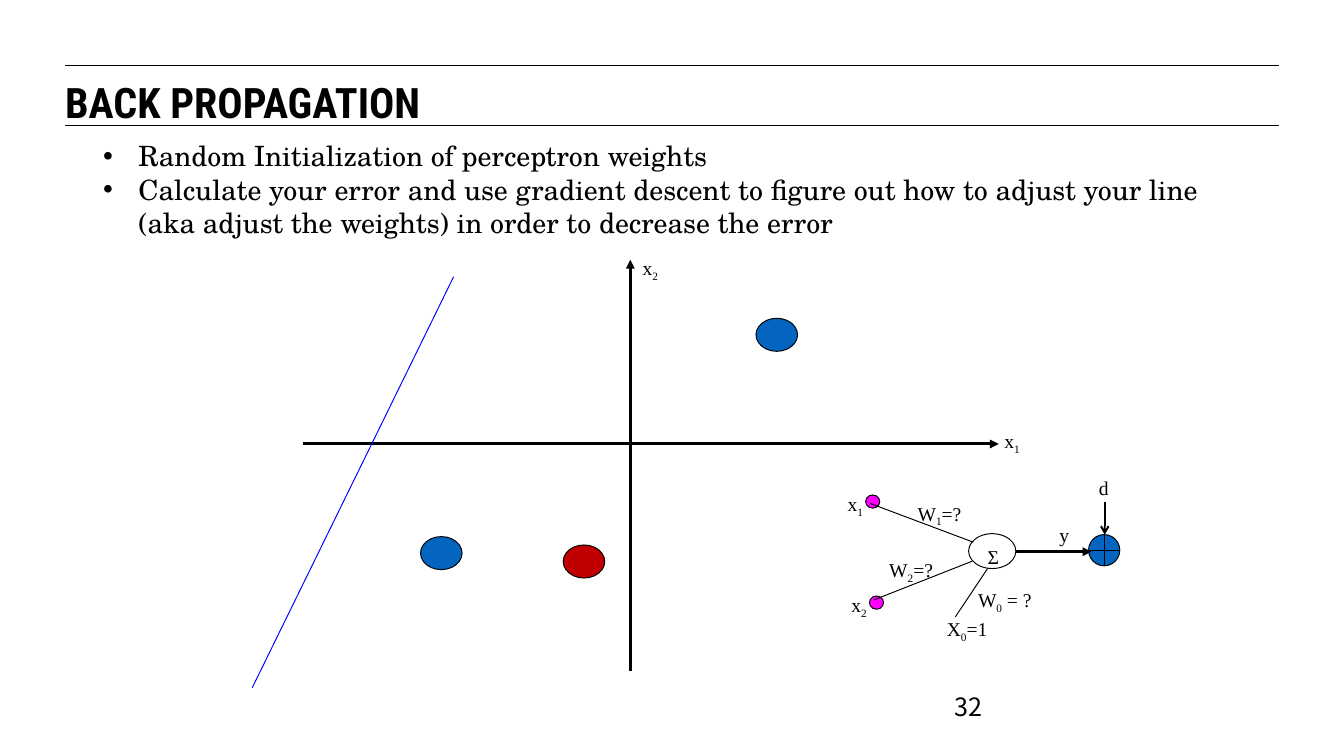
"""Build the back propagation slide."""
from lxml import etree
from pptx import Presentation
from pptx.dml.color import RGBColor
from pptx.enum.shapes import MSO_CONNECTOR, MSO_SHAPE
from pptx.enum.text import MSO_ANCHOR, MSO_AUTO_SIZE
from pptx.oxml.ns import qn
from pptx.util import Pt

LINE = MSO_CONNECTOR.STRAIGHT
OVAL = MSO_SHAPE.OVAL
CROSS = MSO_SHAPE.FLOWCHART_OR
TOP = MSO_ANCHOR.TOP
GROW = MSO_AUTO_SIZE.SHAPE_TO_FIT_TEXT
FIXED = MSO_AUTO_SIZE.NONE

HEX = {"black": "000000", "blue": "0365C0", "red": "C00000",
       "pink": "FF00FF", "split": "0000FF"}
SERIF = "Times New Roman"


def color(name):
    """Return the named colour."""
    return RGBColor.from_string(HEX[name])


def write(slide, box, text, size=14.9, font=SERIF, bold=False,
          wrap=False, grow=True, inset=(7.9, 3.6), bullet=None):
    """Add a text box; newlines split paragraphs, underscores wrap subscripts."""
    frame = slide.shapes.add_textbox(*map(Pt, box)).text_frame
    frame.word_wrap = wrap
    frame.auto_size = GROW if grow else FIXED
    frame.vertical_anchor = TOP
    frame.margin_left = frame.margin_right = Pt(inset[0])
    frame.margin_top = frame.margin_bottom = Pt(inset[1])
    for i, line in enumerate(text.split("\n")):
        para = frame.add_paragraph() if i else frame.paragraphs[0]
        if bullet:
            props = para._p.get_or_add_pPr()
            props.set("marL", str(Pt(27)))
            props.set("indent", str(-Pt(27)))
            etree.SubElement(props, qn("a:buFont"), typeface="Arial")
            etree.SubElement(props, qn("a:buChar"), char=bullet)
        for j, part in enumerate(line.split("_")):
            run = para.add_run()
            run.text = part
            run.font.size = Pt(size)
            run.font.name = font
            run.font.bold = bold
            run.font.color.rgb = color("black")
            if j % 2:
                run._r.get_or_add_rPr().set("baseline", "-25000")


def link(slide, box, ends, width=0.75, tint="black", head=None):
    """Draw a line between two points inside the box."""
    x, y = box[:2]
    x1, y1, x2, y2 = ends
    line = slide.shapes.add_connector(
        LINE, Pt(x + x1), Pt(y + y1), Pt(x + x2), Pt(y + y2))
    line.line.width = Pt(width)
    line.line.color.rgb = color(tint)
    if head:
        etree.SubElement(line.line._get_or_add_ln(), qn("a:tailEnd"), type=head)
    etree.SubElement(line._element.spPr, qn("a:effectLst"))


def node(slide, box, place, tint=None, kind=OVAL):
    """Draw an outlined node inside the box."""
    x, y, w, h = place
    shape = slide.shapes.add_shape(
        kind, Pt(box[0] + x), Pt(box[1] + y), Pt(w), Pt(h))
    shape.shadow.inherit = False
    if tint:
        shape.fill.solid()
        shape.fill.fore_color.rgb = color(tint)
    else:
        shape.fill.background()
    shape.line.width = Pt(0.75)
    shape.line.color.rgb = color("black")


def label(slide, box, text, x, y, w):
    """Write a short label inside the box."""
    write(slide, (box[0] + x, box[1] + y, w, 25.9), text)


def header(slide, box):
    """Draw the title between its two rules."""
    x, y, w, h = box
    for rule in (0, h):
        link(slide, box, (0, rule, w, rule))
    write(slide, (x, y + 8.6, w, 33.8), "BACK PROPAGATION", size=32,
          font="Roboto Condensed", bold=True, wrap=True, grow=False,
          inset=(0, 0))


def body(slide, box):
    """Write the bullet list."""
    write(slide, box,
          "Random Initialization of perceptron weights\n"
          "Calculate your error and use gradient descent to figure out how "
          "to adjust your line (aka adjust the weights) in order to decrease "
          "the error",
          size=21.3, font="TeX Gyre Schola", wrap=True, bullet="•")


def graph(slide, box):
    """Draw the axes, the data points and the dividing line."""
    for axis in ((290.2, 321.2, 290.2, 8), (41.1, 148.4, 571, 148.4)):
        link(slide, box, axis, width=2.25, head="triangle")
    for x, y, tint in ((239.1, 225.4, "red"), (386, 52.6, "blue"),
                       (130.4, 219, "blue")):
        node(slide, box, (x, y, 31.7, 25.2), tint)
    link(slide, box, (155.6, 21, 2.2, 334.2), tint="split")
    label(slide, box, "x_1", 567.4, 133.3, 28.1)
    label(slide, box, "x_2", 291.7, 1.5, 28.1)


def neuron(slide, box):
    """Draw the perceptron with its inputs, weights and output."""
    for x, y in ((27.4, 99.3), (24.5, 22.3)):
        node(slide, box, (x, y, 10.8, 10.1), "pink")
    node(slide, box, (103, 51.8, 36, 26.6))
    node(slide, box, (194.4, 52.5, 23.8, 23.8), "blue", CROSS)
    for ends in ((28.1, 28.8, 106.6, 58.3), (31, 102.2, 105.9, 72.7),
                 (92.9, 115.2, 117.4, 78.4)):
        link(slide, box, ends)
    link(slide, box, (139, 65.5, 196.6, 65.5), width=2.25, head="triangle")
    link(slide, box, (206.7, 28, 206.7, 52.5), width=1.5, head="arrow")
    for text, x, y, w in (
            ("x_1", 2.9, 16.5, 28.1), ("x_2", 5.8, 93.6, 28.1),
            ("X_0_=1", 78.5, 111.6, 47.5), ("W_0_ = ?", 102.3, 90, 57.6),
            ("W_1_=?", 56.2, 23.7, 49.7), ("W_2_=?", 34.6, 66.9, 49.7),
            ("Σ", 109.5, 56.8, 24.5), ("y", 164.2, 40.3, 23),
            ("d", 194.4, 4.3, 23)):
        label(slide, box, text, x, y, w)


def number(slide, box):
    """Write the slide number."""
    write(slide, box, "32", size=19.2, font="Noto Sans CJK KR",
          wrap=True, grow=False)


def main():
    """Build and save the slide."""
    deck = Presentation()
    deck.slide_width, deck.slide_height = Pt(1024), Pt(575.5)
    slide = deck.slides.add_slide(deck.slide_layouts[6])
    header(slide, (49.7, 49.7, 924.5, 46.1))
    body(slide, (70.6, 102.2, 861.8, 85))
    graph(slide, (190, 190, 596, 335))
    neuron(slide, (635, 355, 220, 140))
    number(slide, (719.3, 523.4, 159.8, 38.2))
    deck.save("out.pptx")


if __name__ == "__main__":
    main()
